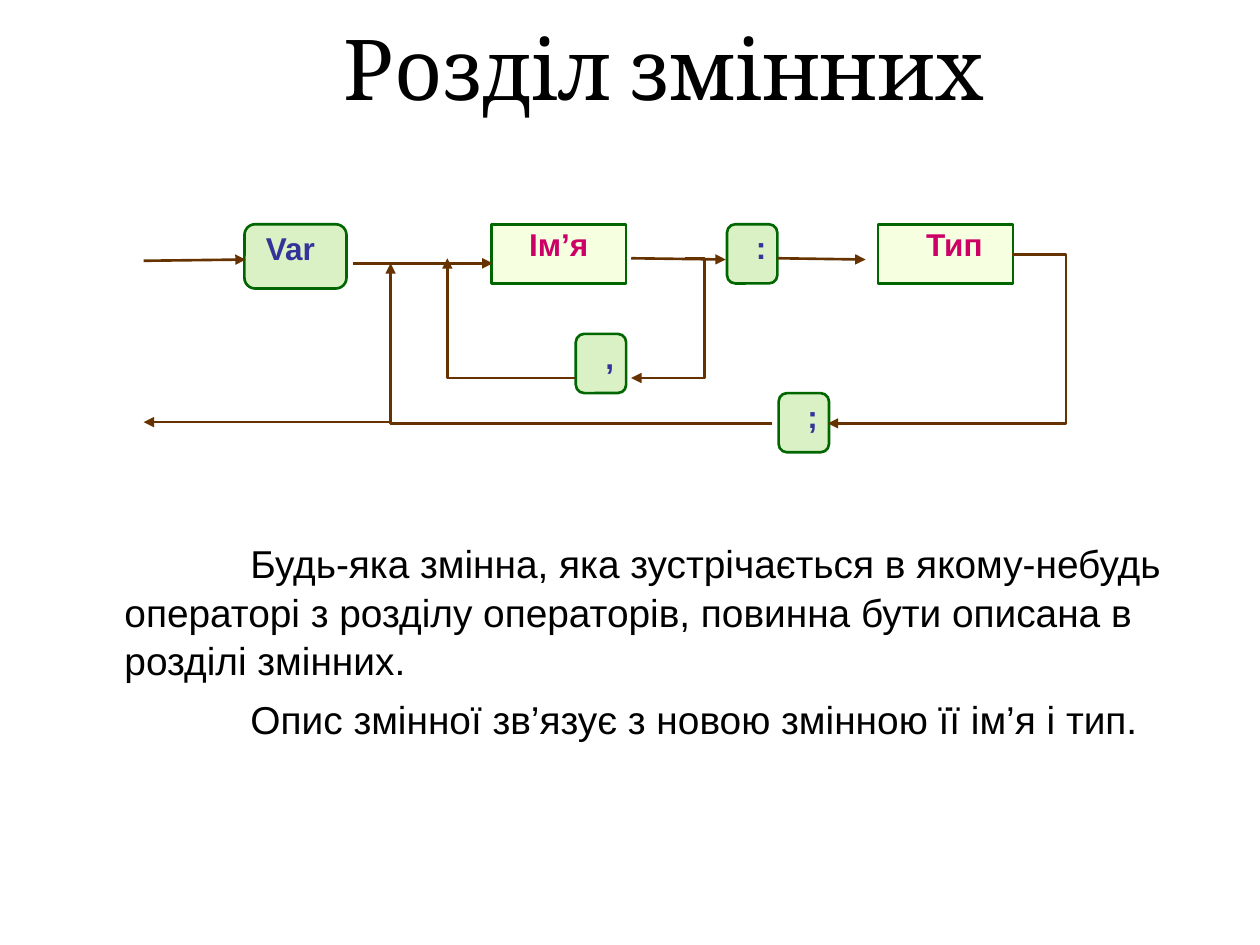
import dataclasses

import lxml.etree
import pptx
import pptx.dml.color
import pptx.enum.shapes
import pptx.enum.text
import pptx.oxml.ns
import pptx.util

Inches = pptx.util.Inches
Pt = pptx.util.Pt
MSO_SHAPE = pptx.enum.shapes.MSO_SHAPE
PP_ALIGN = pptx.enum.text.PP_ALIGN
MSO_ANCHOR = pptx.enum.text.MSO_ANCHOR
qn = pptx.oxml.ns.qn


@dataclasses.dataclass(frozen=True)
class Theme:
    title_font: str = "Cambria"
    body_font: str = "Arial"
    title_size: float = 48
    body_size: float = 22.2
    label_size: float = 18
    line_width: float = 1.5
    text: str = "000000"
    border: str = "006600"
    arrow: str = "663300"
    terminal_fill: str = "B6E38D"
    terminal_text: str = "333399"
    concept_fill: str = "EFFFC1"
    concept_text: str = "CC0066"


def rgb(value):
    return pptx.dml.color.RGBColor.from_string(value)


class SyntaxSlide:
    def __init__(self, deck, theme):
        self.theme = theme
        self.slide = deck.slides.add_slide(deck.slide_layouts[5])

    def add_span(self, para, text, font, size, color, bold=False):
        span = para.add_run()
        span.text = text
        span.font.name = font
        span.font.size = Pt(size)
        span.font.bold = bold
        span.font.color.rgb = rgb(color)

    def style_line(self, line, color):
        line.color.rgb = rgb(color)
        line.width = Pt(self.theme.line_width)

    def title(self, text, left, top, width, height):
        box = self.slide.shapes.title
        box.left, box.top = Inches(left), Inches(top)
        box.width, box.height = Inches(width), Inches(height)
        frame = box.text_frame
        frame.vertical_anchor = MSO_ANCHOR.MIDDLE
        para = frame.paragraphs[0]
        para.alignment = PP_ALIGN.CENTER
        self.add_span(para, text, self.theme.title_font, self.theme.title_size, self.theme.text)

    def body(self, texts, left, top, width, height):
        box = self.slide.shapes.add_textbox(
            Inches(left), Inches(top), Inches(width), Inches(height))
        frame = box.text_frame
        frame.word_wrap = True
        for number, text in enumerate(texts):
            para = frame.add_paragraph() if number else frame.paragraphs[0]
            properties = para._p.get_or_add_pPr()
            properties.set("marL", str(Inches(0.38)))
            properties.set("indent", str(Inches(1)))
            para.line_spacing = 1.04
            if number:
                para.space_before = Pt(6)
            self.add_span(para, text, self.theme.body_font, self.theme.body_size, self.theme.text)

    def node(self, kind, text, left, top, width, height, fill, color, shift):
        """Draw a half-transparent node; shift moves its label off centre."""
        box = self.slide.shapes.add_shape(
            kind, Inches(left), Inches(top), Inches(width), Inches(height))
        box.shadow.inherit = False
        box.fill.solid()
        box.fill.fore_color.rgb = rgb(fill)
        color_element = box._element.spPr.find(qn("a:solidFill"))[0]
        lxml.etree.SubElement(color_element, qn("a:alpha"), val="50000")
        self.style_line(box.line, self.theme.border)
        frame = box.text_frame
        frame.word_wrap = True
        frame.vertical_anchor = MSO_ANCHOR.TOP
        frame.margin_top = frame.margin_bottom = Inches(0.01)
        frame.margin_left = Inches(0.01 + 2 * max(shift, 0))
        frame.margin_right = Inches(0.01 + 2 * max(-shift, 0))
        para = frame.paragraphs[0]
        para.alignment = PP_ALIGN.CENTER
        self.add_span(para, text, self.theme.body_font, self.theme.label_size, color, True)

    def terminal(self, text, left, top, width=0.4, height=0.47, shift=0.07):
        self.node(MSO_SHAPE.ROUNDED_RECTANGLE, text, left, top, width, height,
                  self.theme.terminal_fill, self.theme.terminal_text, shift)

    def concept(self, text, left, top, shift=0):
        self.node(MSO_SHAPE.RECTANGLE, text, left, top, 1.07, 0.47,
                  self.theme.concept_fill, self.theme.concept_text, shift)

    def add_arrowhead(self, shape):
        self.style_line(shape.line, self.theme.arrow)
        line = shape._element.spPr.find(qn("a:ln"))
        lxml.etree.SubElement(line, qn("a:tailEnd"), type="triangle", w="med", len="med")

    def arrow(self, start, end):
        connector = self.slide.shapes.add_connector(
            pptx.enum.shapes.MSO_CONNECTOR.STRAIGHT,
            *(Inches(value) for value in (*start, *end)))
        self.add_arrowhead(connector)
        lxml.etree.SubElement(connector._element.spPr, qn("a:effectLst"))

    def bent_arrow(self, *points):
        corners = [(Inches(x), Inches(y)) for x, y in points]
        builder = self.slide.shapes.build_freeform(*corners[0], scale=1.0)
        builder.add_line_segments(corners[1:], close=False)
        outline = builder.convert_to_shape()
        outline.shadow.inherit = False
        outline.fill.background()
        self.add_arrowhead(outline)


def main():
    deck = pptx.Presentation()
    deck.slide_width, deck.slide_height = Inches(10), Inches(7.5)
    page = SyntaxSlide(deck, Theme())

    page.title("Розділ змінних", 1.61, 0, 7.32, 1.07)
    page.body([
        "Будь-яка змінна, яка зустрічається в якому-небудь операторі з розділу "
        "операторів, повинна бути описана в розділі змінних.",
        "Опис змінної зв’язує з новою змінною її ім’я і тип.",
    ], 0.51, 4.22, 9, 1.89)

    row_top = 1.78
    page.terminal("Var", 1.94, row_top, 0.81, 0.51, shift=-0.04)
    page.terminal(":", 5.77, row_top)
    page.terminal(",", 4.57, 2.65)
    page.terminal(";", 6.18, 3.12)
    page.concept("Ім’я", 3.9, row_top)
    page.concept("Тип", 6.97, row_top, shift=0.07)

    page.arrow((1.14, 2.07), (1.95, 2.06))
    page.arrow((2.8, 2.09), (3.91, 2.09))
    page.arrow((5.01, 2.05), (5.76, 2.06))
    page.arrow((6.17, 2.05), (6.87, 2.06))
    page.arrow((3.11, 3.35), (1.14, 3.35))
    page.bent_arrow((8.03, 2.02), (8.46, 2.02), (8.46, 3.36), (6.57, 3.36))
    page.bent_arrow((6.13, 3.36), (3.1, 3.36), (3.1, 2.09))
    page.bent_arrow((5.44, 2.05), (5.59, 2.05), (5.59, 3), (5.01, 3))
    page.bent_arrow((4.57, 3), (3.55, 3), (3.55, 2.05))

    deck.save("out.pptx")


if __name__ == "__main__":
    main()
